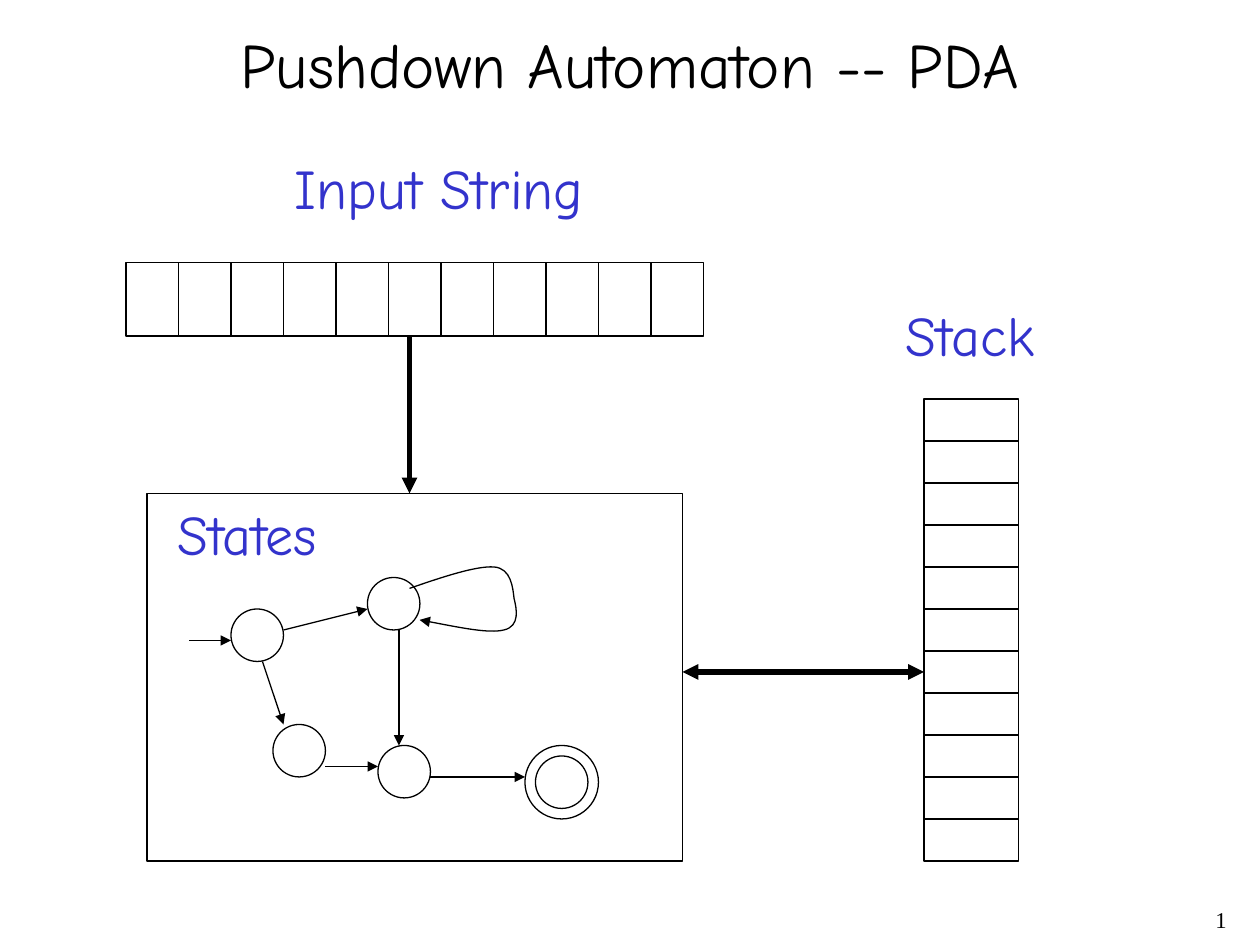
from lxml import etree
from pptx import Presentation
from pptx.dml.color import RGBColor
from pptx.enum import shapes, text
from pptx.oxml import ns
from pptx.util import Emu, Inches, Pt

BLACK = RGBColor(0x00, 0x00, 0x00)
BLUE = RGBColor(0x33, 0x33, 0xCC)
MAIN, SERIF = "Comic Neue", "Times New Roman"
UNIT = Inches(1) / 12  # the grid has 120 columns and 90 rows


def grid(*vals):
    return [Emu(round(v * UNIT)) for v in vals]


class Board:
    """Style and current slide; lengths are grid columns and rows."""

    def __init__(self, deck):
        self.slide = deck.slides.add_slide(deck.slide_layouts[5])
        self.items = self.slide.shapes

    def font(self, para, size, color, name=MAIN):
        font = para.font
        font.size, font.name, font.color.rgb = Pt(size), name, color

    def title(self, words, *box):
        shape = self.items.title
        shape.left, shape.top, shape.width, shape.height = grid(*box)
        frame = shape.text_frame
        frame.text = words
        frame.auto_size = text.MSO_AUTO_SIZE.NONE
        frame.vertical_anchor = text.MSO_ANCHOR.MIDDLE
        para = frame.paragraphs[0]
        para.alignment = text.PP_ALIGN.CENTER
        self.font(para, 36, BLACK)

    def note(self, words, *box):
        frame = self.items.add_textbox(*grid(*box)).text_frame
        frame.text = words
        return frame, frame.paragraphs[0]

    def label(self, words, *box):
        frame, para = self.note(words, *box)
        frame.word_wrap = False
        frame.auto_size = text.MSO_AUTO_SIZE.SHAPE_TO_FIT_TEXT
        para.space_before = Pt(8)
        self.font(para, 32, BLUE)

    def number(self, words, *box):
        frame, para = self.note(words, *box)
        frame.word_wrap = True
        para.alignment, para.line_spacing = text.PP_ALIGN.RIGHT, 0.9
        self.font(para, 12.9, BLACK, SERIF)

    def ink(self, shape, width=0.75):
        shape.line.color.rgb, shape.line.width = BLACK, Pt(width)

    def outline(self, shape):
        shape.shadow.inherit = False
        shape.fill.background()
        self.ink(shape)

    def rect(self, *box):
        self.outline(self.items.add_shape(shapes.MSO_SHAPE.RECTANGLE, *grid(*box)))

    def ring(self, x, y, size=5):
        kind = shapes.MSO_SHAPE.OVAL
        self.outline(self.items.add_shape(kind, *grid(x, y, size, size)))

    def tip(self, shape, *ends):
        line = shape.line._get_or_add_ln()
        for end in ends:
            etree.SubElement(line, ns.qn(f"a:{end}"), type="triangle")

    def line(self, *points, width=0.75, ends=()):
        link = self.items.add_connector(shapes.MSO_CONNECTOR.STRAIGHT, *grid(*points))
        self.ink(link, width)
        self.tip(link, *ends)
        etree.SubElement(link._element.spPr, ns.qn("a:effectLst"))

    def cells(self, x, y, wide, high, count, down=False):
        self.rect(x, y, wide, high)
        for i in range(1, count):
            if down:
                row = y + high * i / count
                self.line(x, row, x + wide, row)
            else:
                col = x + wide * i / count
                self.line(col, y, col, y + high)

    def curve(self, start, *points):
        """Bezier curve; points in hundredths of an inch, three to a piece."""
        pen = self.items.build_freeform(*start, scale=Inches(1) / 100)
        pen.add_line_segments(points, close=False)
        shape = pen.convert_to_shape()
        steps = list(shape._element.iter(ns.qn("a:lnTo")))
        for i in range(0, len(steps), 3):
            bend = etree.Element(ns.qn("a:cubicBezTo"))
            steps[i].addprevious(bend)
            for step in steps[i:i + 3]:
                bend.append(step[0])
                step.getparent().remove(step)
        self.outline(shape)
        self.tip(shape, "tailEnd")


def main():
    deck = Presentation()
    deck.slide_width, deck.slide_height = Inches(10), Inches(7.5)
    board = Board(deck)

    # Title and page number
    board.title("Pushdown Automaton -- PDA", 2, 2, 116, 8)
    board.number("1", 93, 86, 25, 4)

    # Control unit with its states
    board.rect(14, 47, 51, 35)
    for x, y in [(22, 58), (36, 71), (35, 55), (51, 72), (26, 69)]:
        board.ring(x, y)
    board.ring(50, 71, 7)

    # Transitions
    for move in [(18, 61, 22, 61), (27, 60, 35, 58), (25, 63, 27, 69),
                 (31, 73, 36, 73), (38, 60, 38, 71), (41, 74, 50, 74)]:
        board.line(*move, ends=["tailEnd"])
    board.curve((325, 467), (351, 458), (378, 449), (392, 450),
                (406, 451), (407, 467), (408, 475),
                (410, 483), (413, 497), (400, 500),
                (388, 503), (360, 497), (333, 492))

    # Input tape and stack
    board.cells(12, 25, 55, 7, 11)
    board.cells(88, 38, 9, 44, 11, down=True)

    # Links from the control unit to tape and stack
    board.line(39, 32, 39, 47, width=3, ends=["tailEnd"])
    board.line(88, 64, 65, 64, width=3, ends=["headEnd", "tailEnd"])

    # Labels
    board.label("Input String", 26.9, 14, 29.9, 7.7)
    board.label("Stack", 85.1, 28, 14.8, 7.7)
    board.label("States", 15.7, 47, 16.1, 7.7)

    deck.save("out.pptx")


if __name__ == "__main__":
    main()
